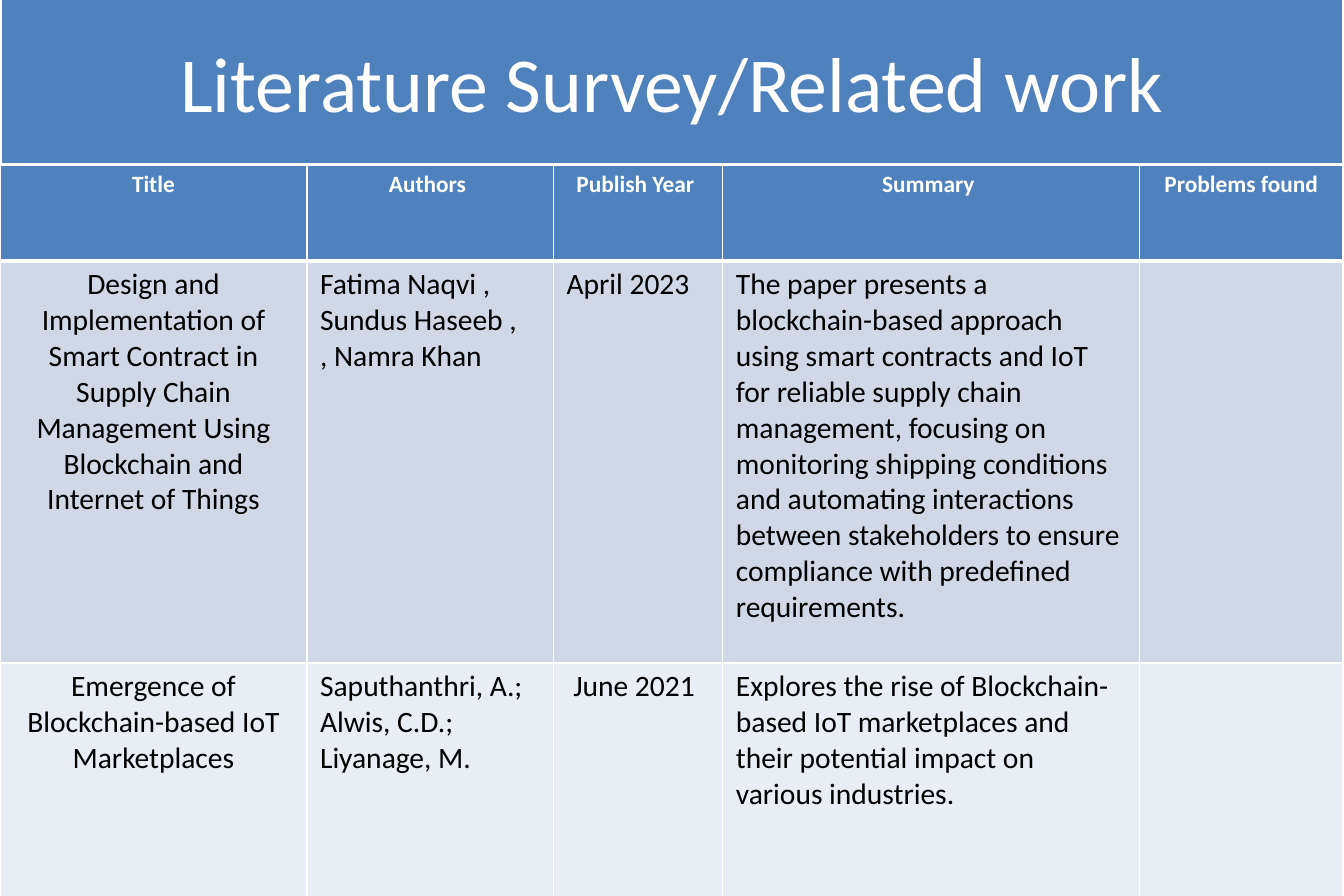
"""Build the literature survey slide: a title band above a table of papers."""
from lxml import etree
from pptx import Presentation
from pptx.dml.color import RGBColor
from pptx.enum.shapes import MSO_SHAPE
from pptx.enum.text import MSO_ANCHOR, PP_ALIGN
from pptx.oxml.ns import qn
from pptx.util import Cm, Pt

RECTANGLE = MSO_SHAPE.RECTANGLE
MIDDLE = MSO_ANCHOR.MIDDLE
CENTER, LEFT = PP_ALIGN.CENTER, PP_ALIGN.LEFT
WHITE = RGBColor(0xFF, 0xFF, 0xFF)
BLACK = RGBColor(0x00, 0x00, 0x00)
BLUE = RGBColor(0x4F, 0x81, 0xBD)
ROW_FILLS = [BLUE, RGBColor(0xD0, 0xD8, 0xE8), RGBColor(0xE9, 0xED, 0xF4)]
FONT = "Calibri"

COLUMN_WIDTHS = [6.96, 5.59, 3.84, 9.45, 4.62]
ROW_HEIGHTS = [2.18, 9.12, 5.59]
PAPERS = [
    ["Title", "Authors ", "Publish Year ", "Summary ", "Problems found"],
    ["Design and Implementation of Smart Contract in Supply Chain Management "
     "Using Blockchain and Internet of Things",
     "Fatima Naqvi , Sundus Haseeb ,\n, Namra Khan",
     "April 2023",
     "The paper presents a blockchain-based approach using smart contracts and IoT "
     "for reliable supply chain management, focusing on monitoring shipping conditions "
     "and automating interactions between stakeholders to ensure compliance with "
     "predefined requirements.",
     ""],
    ["Emergence of Blockchain-based IoT Marketplaces",
     "Saputhanthri, A.; Alwis, C.D.; Liyanage, M.",
     " June 2021",
     "Explores the rise of Blockchain-based IoT marketplaces and their potential "
     "impact on various industries.",
     ""],
]


def add_border(cell, side, width):
    """Draw one white cell edge."""
    edge = etree.SubElement(cell._tc.get_or_add_tcPr(), qn(f"a:ln{side}"), w=str(Pt(width)))
    fill = etree.SubElement(edge, qn("a:solidFill"))
    etree.SubElement(fill, qn("a:srgbClr"), val=str(WHITE))


def style_text(paragraph, size, color, bold, alignment):
    """Set the font and alignment of a paragraph."""
    paragraph.alignment = alignment
    paragraph.font.name = FONT
    paragraph.font.size = Pt(size)
    paragraph.font.bold = bold
    paragraph.font.color.rgb = color


prs = Presentation()
prs.slide_width, prs.slide_height = Cm(30.48), Cm(20.32)
slide = prs.slides.add_slide(prs.slide_layouts[6])

title_band = slide.shapes.add_shape(RECTANGLE, Cm(0), Cm(-0.08), Cm(30.48), Cm(3.84))
title_band.shadow.inherit = False
title_band.fill.solid()
title_band.fill.fore_color.rgb = BLUE
title_band.line.color.rgb = WHITE
title_band.line.width = Pt(3)
heading = title_band.text_frame
heading.vertical_anchor = MIDDLE
heading.text = "Literature Survey/Related work"
style_text(heading.paragraphs[0], 50, WHITE, False, CENTER)

survey = slide.shapes.add_table(
    len(PAPERS), len(COLUMN_WIDTHS), Cm(0), Cm(3.74),
    Cm(sum(COLUMN_WIDTHS)), Cm(sum(ROW_HEIGHTS))).table
for column, width in zip(survey.columns, COLUMN_WIDTHS):
    column.width = Cm(width)
for row, height in zip(survey.rows, ROW_HEIGHTS):
    row.height = Cm(height)

for row_index, paper in enumerate(PAPERS):
    is_header = row_index == 0
    for column_index, text in enumerate(paper):
        cell = survey.cell(row_index, column_index)
        cell.margin_left = cell.margin_right = Cm(0.3)
        cell.margin_top = cell.margin_bottom = Cm(0.13)
        add_border(cell, "L", 1)
        add_border(cell, "R", 1)
        add_border(cell, "T", 3 if row_index == 1 else 1)
        add_border(cell, "B", 3 if is_header else 1)
        cell.fill.solid()
        cell.fill.fore_color.rgb = ROW_FILLS[row_index]
        cell.text = text
        alignment = CENTER if is_header or column_index == 0 else LEFT
        for paragraph in cell.text_frame.paragraphs:
            style_text(paragraph, 15 if is_header else 19,
                       WHITE if is_header else BLACK, is_header, alignment)

prs.save("out.pptx")
